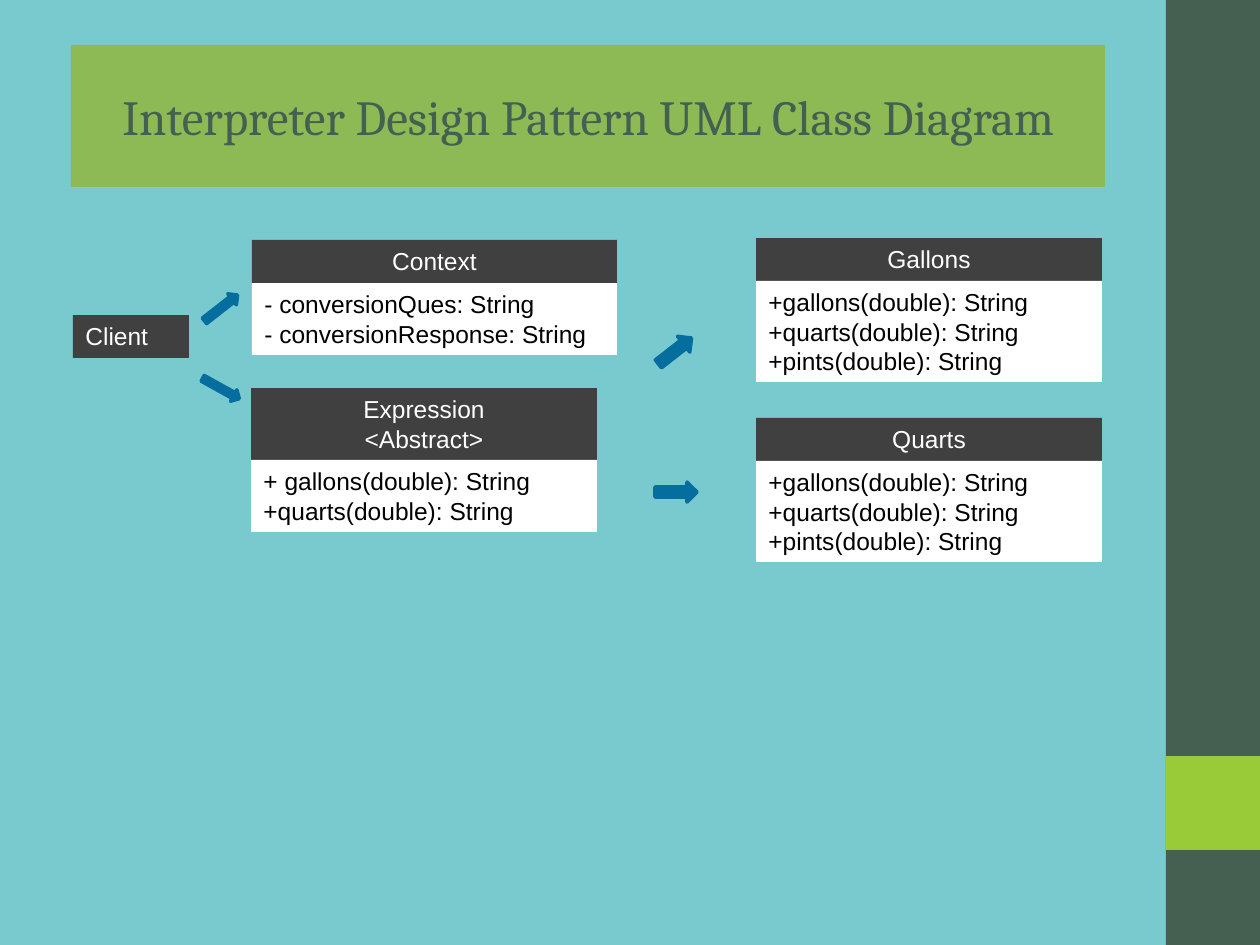
from dataclasses import dataclass

from pptx import Presentation
from pptx.dml.color import RGBColor
from pptx.enum.shapes import MSO_SHAPE
from pptx.enum.text import MSO_ANCHOR, MSO_AUTO_SIZE, PP_ALIGN
from pptx.util import Pt

SCALE = 9144000 / 1260
PAGE_WIDTH, PAGE_HEIGHT = 1260, 945
SIDEBAR_LEFT = 1166
LINE_HEIGHT, BOX_PADDING = 29, 14


@dataclass(frozen=True)
class Theme:
    background: str = "78CACF"
    forest: str = "455F51"
    lime: str = "99CB38"
    banner: str = "8DBA55"
    header: str = "404040"
    white: str = "FFFFFF"
    black: str = "000000"
    arrow: str = "066E9F"
    title_font: str = "Cambria"
    body_font: str = "Arial"
    title_size: int = 28
    body_size: int = 14


THEME = Theme()


def px(value):
    return round(value * SCALE)


def color(value):
    return RGBColor.from_string(value)


def paint(shape, value):
    shape.fill.solid()
    shape.fill.fore_color.rgb = color(value)


def apply(target, values):
    for name, value in values.items():
        setattr(target, name, value)


def place(shape, left, top, width, height):
    apply(shape, {"left": px(left), "top": px(top),
                  "width": px(width), "height": px(height)})


def write(box, lines, font, size, ink, align):
    frame = box.text_frame
    frame.text = "\n".join(lines)
    for para in frame.paragraphs:
        para.alignment = align
        apply(para.font, {"name": font, "size": Pt(size)})
        para.font.color.rgb = color(ink)


def add_block(page, left, top, width, height, fill):
    box = page.shapes.add_shape(MSO_SHAPE.RECTANGLE, px(left), px(top), px(width), px(height))
    box.shadow.inherit = False
    paint(box, fill)
    box.line.fill.background()
    return box


def add_label(page, left, top, width, lines, fill, ink, align):
    height = BOX_PADDING + LINE_HEIGHT * len(lines)
    box = add_block(page, left, top, width, height, fill)
    write(box, lines, THEME.body_font, THEME.body_size, ink, align)
    apply(box.text_frame, {"word_wrap": True, "vertical_anchor": MSO_ANCHOR.TOP,
                           "auto_size": MSO_AUTO_SIZE.SHAPE_TO_FIT_TEXT})
    return top + height


def add_class(page, left, top, width, heading, members):
    bottom = add_label(page, left, top, width, heading, THEME.header, THEME.white, PP_ALIGN.CENTER)
    add_label(page, left, bottom, width, members, THEME.white, THEME.black, PP_ALIGN.LEFT)


def add_arrow(page, left, top, width, height, rotation):
    arrow = page.shapes.add_shape(MSO_SHAPE.RIGHT_ARROW, px(left), px(top), px(width), px(height))
    apply(arrow, {"rotation": rotation})
    arrow.shadow.inherit = False
    paint(arrow, THEME.arrow)
    arrow.line.color.rgb = color(THEME.arrow)
    arrow.line.width = Pt(2)


def set_title(page, text):
    title = page.shapes.title
    place(title, 71, 45, 1034, 142)
    paint(title, THEME.banner)
    write(title, [text], THEME.title_font, THEME.title_size, THEME.forest, PP_ALIGN.CENTER)
    apply(title.text_frame, {"word_wrap": True, "vertical_anchor": MSO_ANCHOR.MIDDLE,
                             "auto_size": MSO_AUTO_SIZE.NONE})


def main():
    deck = Presentation()
    apply(deck, {"slide_width": px(PAGE_WIDTH), "slide_height": px(PAGE_HEIGHT)})
    page = deck.slides.add_slide(deck.slide_layouts[5])
    paint(page.background, THEME.background)

    sidebar_width = PAGE_WIDTH - SIDEBAR_LEFT
    add_block(page, SIDEBAR_LEFT, 0, sidebar_width, PAGE_HEIGHT, THEME.forest)
    add_block(page, SIDEBAR_LEFT, 756, sidebar_width, sidebar_width, THEME.lime)
    set_title(page, "Interpreter Design Pattern UML Class Diagram")

    add_label(page, 73, 315, 116, ["Client"], THEME.header, THEME.white, PP_ALIGN.LEFT)
    add_class(page, 252, 240, 365, ["Context"],
              ["- conversionQues: String", "- conversionResponse: String"])
    add_class(page, 251, 388, 346, ["Expression", "<Abstract>"],
              ["+ gallons(double): String", "+quarts(double): String"])
    conversions = [f"+{unit}(double): String" for unit in ("gallons", "quarts", "pints")]
    for name, top in (("Gallons", 238), ("Quarts", 418)):
        add_class(page, 756, top, 346, [name], conversions)

    for left, top, height, rotation in (
        (200, 301, 14, 322),
        (200, 382, 13, 29),
        (654, 341, 20, 322),
        (655, 482, 20, 0),
    ):
        add_arrow(page, left, top, 42, height, rotation)

    deck.save("out.pptx")


if __name__ == "__main__":
    main()
